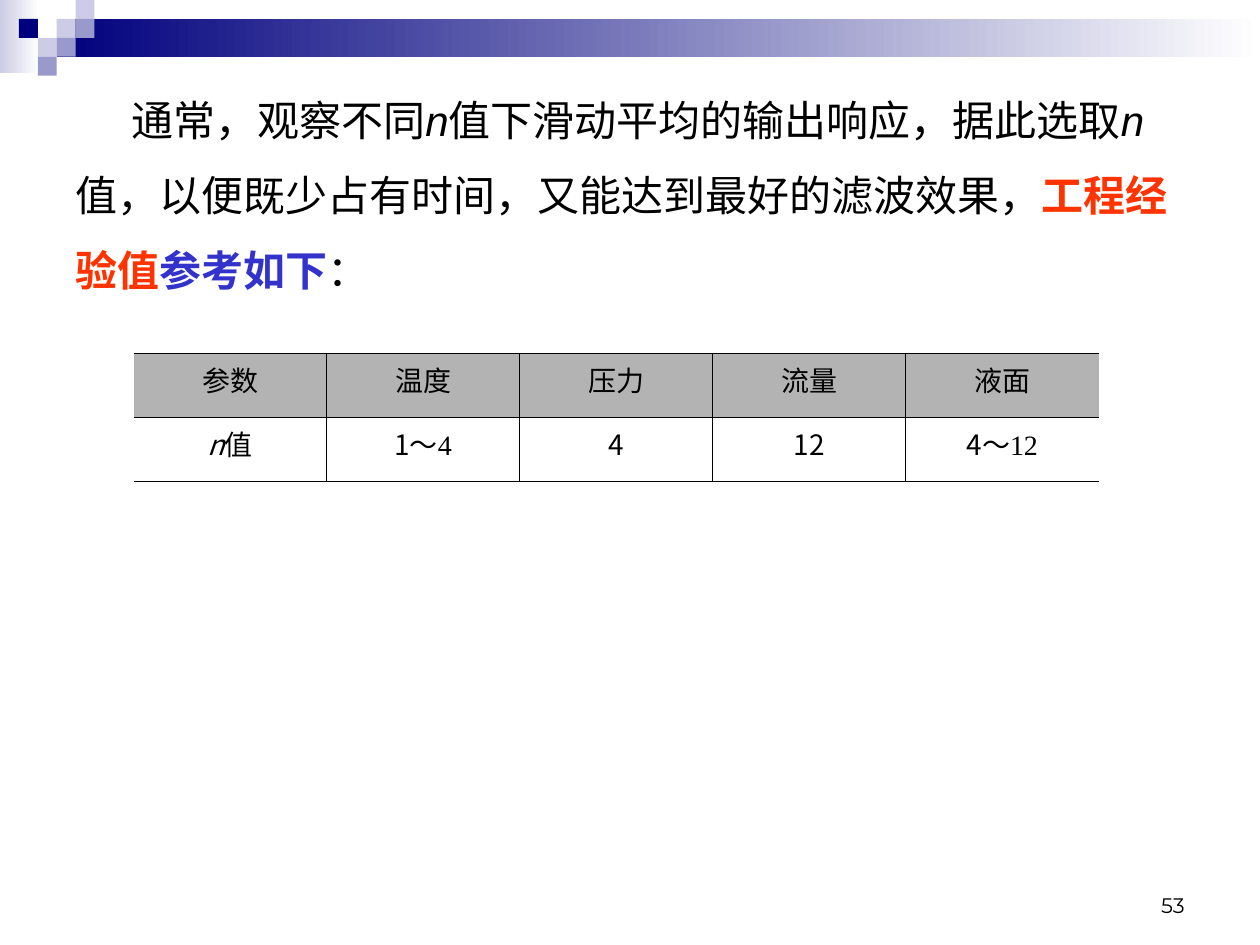
from lxml.etree import SubElement
from pptx import Presentation
from pptx.dml.color import RGBColor
from pptx.enum.shapes import MSO_SHAPE
from pptx.enum.text import MSO_ANCHOR, PP_ALIGN
from pptx.oxml.ns import qn
from pptx.util import Pt

BLACK = RGBColor(0x00, 0x00, 0x00)
WHITE = RGBColor(0xFF, 0xFF, 0xFF)
NAVY = RGBColor(0x00, 0x00, 0x7D)
LAVENDER = RGBColor(0xCC, 0xCC, 0xE6)
PERIWINKLE = RGBColor(0x99, 0x99, 0xCC)
GRAY = RGBColor(0xB3, 0xB3, 0xB3)
RED = RGBColor(0xFF, 0x33, 0x00)
BLUE = RGBColor(0x33, 0x33, 0xCC)

SANS = "Arial"
SERIF = "Times New Roman"
CHINESE = "Noto Sans CJK SC"
NUMBER = "Montserrat"

GRID = 10.8
# Column, row and colour of each decorative square
SQUARES = [
    (3, 1, LAVENDER), (4, 0, LAVENDER), (4, 1, PERIWINKLE), (2, 2, LAVENDER),
    (1, 1, NAVY), (3, 2, PERIWINKLE), (2, 3, PERIWINKLE),
]

VARIABLE = ("n", {"italic": True})
BODY = [
    ("通常，观察不同", {}), VARIABLE,
    ("值下滑动平均的输出响应，据此选取", {}), VARIABLE,
    ("值，以便既少占有时间，又能达到最好的滤波效果，", {}),
    ("工程经验值", {"color": RED, "bold": True}),
    ("参考如下", {"color": BLUE, "bold": True}),
    ("：", {}),
]

PLAIN = {"font": CHINESE}
ROWS = [
    [[(name, {})] for name in ("参数", "温度", "压力", "流量", "液面")],
    [
        [("n", {"font": CHINESE, "italic": True}), ("值", {})],
        [("1", PLAIN), ("～4", {})],
        [("4", PLAIN)],
        [("12", PLAIN)],
        [("4", PLAIN), ("～12", {})],
    ],
]


def write_text(frame, runs, font=SANS, size=24, color=BLACK, align=PP_ALIGN.LEFT,
               line_spacing=None, indent=0):
    """Fill the first paragraph with (text, format) runs; a run may override font and colour."""
    paragraph = frame.paragraphs[0]
    paragraph.alignment = align
    if line_spacing:
        paragraph.line_spacing = Pt(line_spacing)
    if indent:
        properties = paragraph._p.get_or_add_pPr()
        properties.set("marL", "0")
        properties.set("indent", str(Pt(indent)))
    for text, style in runs:
        run = paragraph.add_run()
        run.text = text
        run.font.name = style.get("font", font)
        run.font.size = Pt(size)
        run.font.bold = style.get("bold", False)
        run.font.italic = style.get("italic", False)
        run.font.color.rgb = style.get("color", color)
        east_asian = SubElement(run._r.get_or_add_rPr(), qn("a:ea"))
        east_asian.set("typeface", CHINESE)


def set_border(cell, side, visible):
    """Draw or hide one side (L, R, T or B) of a table cell."""
    line = SubElement(cell._tc.get_or_add_tcPr(), qn(f"a:ln{side}"), w=str(Pt(0.45)))
    if visible:
        fill = SubElement(line, qn("a:solidFill"))
        SubElement(fill, qn("a:srgbClr"), val=str(BLACK))
    else:
        SubElement(line, qn("a:noFill"))


class SlideBuilder:
    def __init__(self, slide):
        self.slide = slide

    def rectangle(self, left, top, width, height, color, end_color=None):
        """Add a plain rectangle, or a left-to-right gradient when end_color is given."""
        shape = self.slide.shapes.add_shape(
            MSO_SHAPE.RECTANGLE, Pt(left), Pt(top), Pt(width), Pt(height))
        shape.shadow.inherit = False
        shape.line.fill.background()
        if end_color is None:
            shape.fill.solid()
            shape.fill.fore_color.rgb = color
        else:
            shape.fill.gradient()
            shape.fill.gradient_angle = 0
            for stop, stop_color in zip(shape.fill.gradient_stops, (color, end_color)):
                stop.color.rgb = stop_color

    def text(self, left, top, width, height, runs, anchor=MSO_ANCHOR.TOP, **style):
        box = self.slide.shapes.add_textbox(Pt(left), Pt(top), Pt(width), Pt(height))
        box.text_frame.word_wrap = True
        box.text_frame.vertical_anchor = anchor
        write_text(box.text_frame, runs, **style)

    def table(self, left, top, column_width, row_height, rows):
        column_count = len(rows[0])
        table = self.slide.shapes.add_table(
            len(rows), column_count, Pt(left), Pt(top),
            Pt(column_width * column_count), Pt(row_height * len(rows))).table
        table.first_row = False
        table.horz_banding = False
        for column in table.columns:
            column.width = Pt(column_width)
        for row_index, row in enumerate(rows):
            table.rows[row_index].height = Pt(row_height)
            for column_index, runs in enumerate(row):
                cell = table.cell(row_index, column_index)
                cell.vertical_anchor = MSO_ANCHOR.MIDDLE
                cell.margin_left = cell.margin_right = Pt(5.76)
                cell.margin_top = cell.margin_bottom = Pt(3.6)
                set_border(cell, "L", column_index > 0)
                set_border(cell, "R", column_index < column_count - 1)
                set_border(cell, "T", True)
                set_border(cell, "B", True)
                if row_index == 0:
                    cell.fill.solid()
                    cell.fill.fore_color.rgb = GRAY
                else:
                    cell.fill.background()
                write_text(cell.text_frame, runs, font=SERIF, size=16,
                           align=PP_ALIGN.CENTER, line_spacing=16)


def main():
    presentation = Presentation()
    presentation.slide_width = Pt(720)
    presentation.slide_height = Pt(540)
    builder = SlideBuilder(presentation.slides.add_slide(presentation.slide_layouts[6]))

    builder.rectangle(0, 0, 22.3, 41.8, LAVENDER, WHITE)
    builder.rectangle(3 * GRID, GRID, 720 - 3 * GRID, 2 * GRID, NAVY, WHITE)
    for column, row, color in SQUARES:
        builder.rectangle(column * GRID, row * GRID, GRID, GRID, color)

    builder.text(36, 36, 648, 426, BODY, line_spacing=43, indent=32)
    builder.table(76.4, 201.9, 110.3, 36.6, ROWS)
    builder.text(516, 492, 168, 36, [("53", {})], anchor=MSO_ANCHOR.BOTTOM,
                 font=NUMBER, size=12, align=PP_ALIGN.RIGHT)

    presentation.save("out.pptx")


if __name__ == "__main__":
    main()
